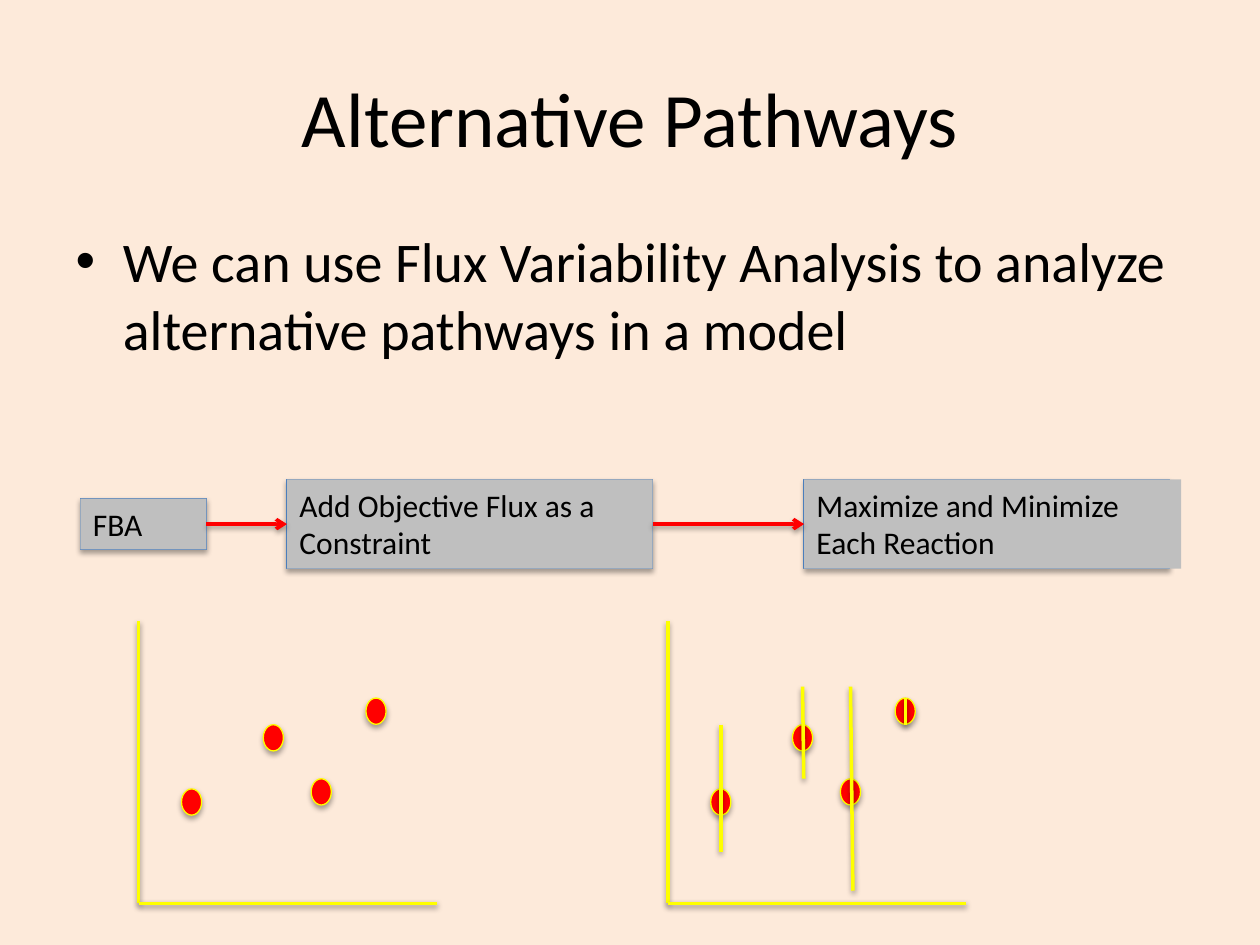
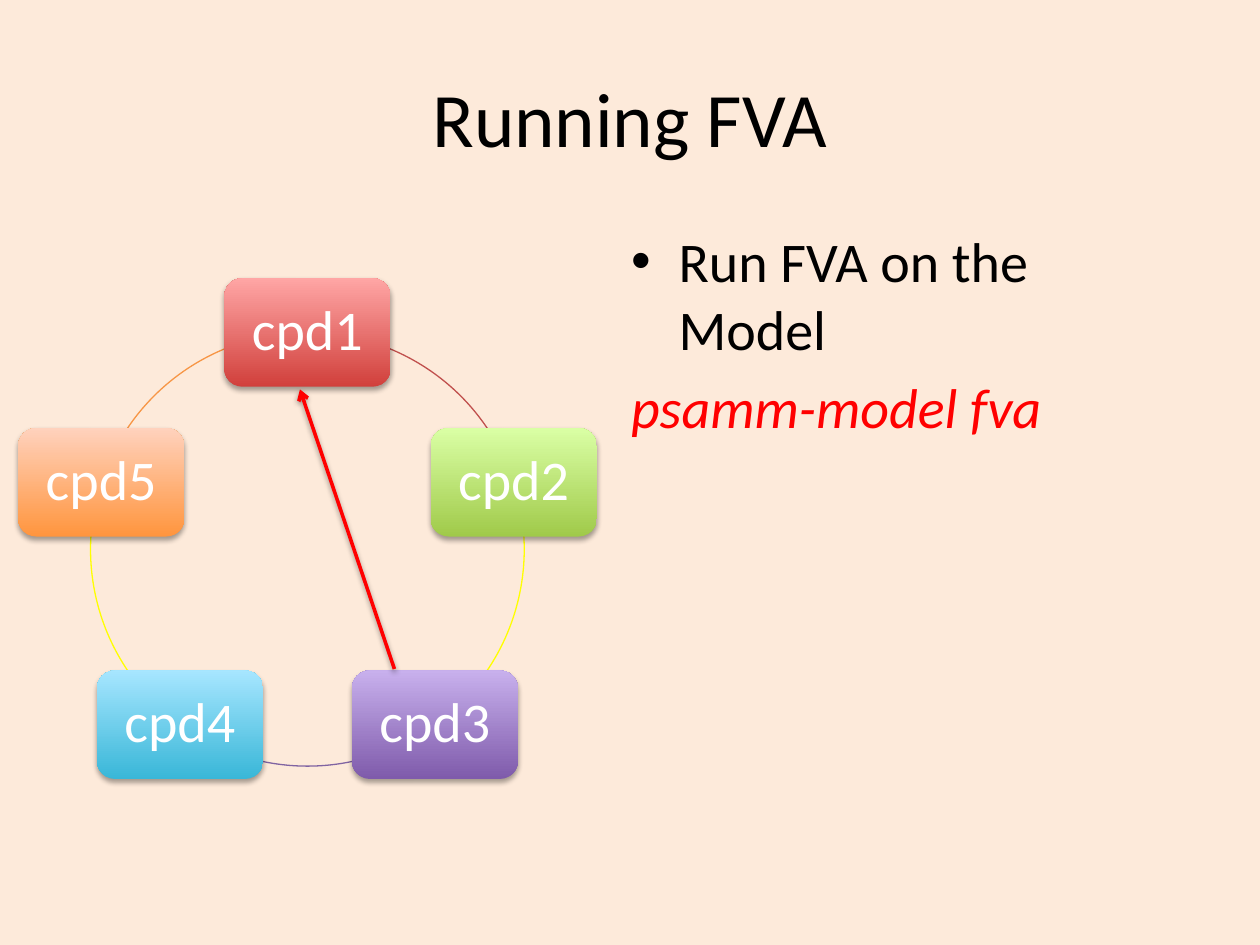
import math

from lxml import etree
from pptx import Presentation
from pptx import util as u
from pptx.dml.color import RGBColor
from pptx.enum import shapes, text
from pptx.oxml.ns import qn

COLORS = {
    "page": "FDEADA", "ink": "000000", "white": "FFFFFF", "box": "BFBFBF",
    "edge": "4B7EBC", "red": "FF0000", "yellow": "FFFF00",
}
FONT = "Calibri"

# Process steps: left, top, frame width, label width, height, words
STEPS = [
    (46, 285, 72, 72, 29, "FBA"),
    (164, 274, 209, 209, 51, "Add Objective Flux as a Constraint"),
    (459.5, 274, 209, 215.5, 51, "Maximize and Minimize Each Reaction"),
]
STEP_MIDDLE = 299.5

# Flux points: distance from the axis, height on the page
FLUXES = [(30.3, 458.3), (77, 421.6), (104.4, 452.5), (135.7, 406.4)]
# Flux ranges: top, bottom, sideways lean
RANGES = [(414, 486.7, 0), (392.4, 445, 0.7), (392.4, 509, 1.4), (399, 414, 0)]
PLOT_LEFTS = (79.2, 381.6)
PLOT_TOP, PLOT_BOTTOM, PLOT_WIDTH = 355, 516.2, 170.6

# Compounds, clockwise from the top: name, bottom colour, top colour, arc colour
COMPOUNDS = [
    ("cpd1", "D1403C", "FFA6A5", "C0504D"),
    ("cpd2", "A0CA4A", "DAFFA5", "FFFF00"),
    ("cpd3", "7F5BAB", "C8B0ED", "8064A2"),
    ("cpd4", "39B7D8", "A7E6FF", "FFFF00"),
    ("cpd5", "FF953E", "FFD2BD", "F79646"),
]
CYCLE_X, CYCLE_Y, CYCLE_RADIUS = 175.7, 313.9, 123.9
NODE_WIDTH, NODE_HEIGHT = 95, 62


def rgb(color):
    return RGBColor.from_string(COLORS.get(color, color))


def write(frame, words, size=18, color="ink", italic=False, align=None,
          spacing=None, plain=False):
    """Add one paragraph; plain removes the inherited bullet and indent."""
    para = frame.add_paragraph() if frame.text else frame.paragraphs[0]
    if plain:
        props = para._p.get_or_add_pPr()
        props.set("marL", "0")
        props.set("indent", "0")
        etree.SubElement(props, qn("a:buNone"))
    if align is not None:
        para.alignment = align
    if spacing:
        para.line_spacing = spacing
    span = para.add_run()
    span.text = words
    span.font.name = FONT
    span.font.size = u.Pt(size)
    span.font.color.rgb = rgb(color)
    span.font.italic = italic


def cast_shadow(item, distance, alpha):
    effects = etree.SubElement(item._element.spPr, qn("a:effectLst"))
    shadow = etree.SubElement(
        effects, qn("a:outerShdw"), blurRad=str(u.Pt(3.1)),
        dist=str(u.Pt(distance)), dir="5400000", rotWithShape="0")
    black = etree.SubElement(shadow, qn("a:srgbClr"), val="000000")
    etree.SubElement(black, qn("a:alpha"), val=str(alpha * 1000))


def add_block(page, kind, left, top, width, height, fill=None, line=None,
              shadow=True):
    """Add a preset shape; a pair of fills runs from bottom to top."""
    block = page.shapes.add_shape(
        kind, u.Pt(left), u.Pt(top), u.Pt(width), u.Pt(height))
    if fill is None:
        block.fill.background()
    elif isinstance(fill, tuple):
        block.fill.gradient()
        block.fill.gradient_angle = 90
        for stop, color, position in zip(block.fill.gradient_stops, fill, (0, 1)):
            stop.color.rgb = rgb(color)
            stop.position = position
    else:
        block.fill.solid()
        block.fill.fore_color.rgb = rgb(fill)
    if line:
        block.line.color.rgb = rgb(line)
        block.line.width = u.Pt(0.75)
    else:
        block.line.fill.background()
    if shadow:
        cast_shadow(block, 1.8, 35)
    else:
        block.shadow.inherit = False
    return block


def add_line(page, start, end, color, arrow=False):
    line = page.shapes.add_connector(
        shapes.MSO_CONNECTOR.STRAIGHT, *map(u.Pt, start + end))
    line.line.color.rgb = rgb(color)
    line.line.width = u.Pt(2)
    if arrow:
        etree.SubElement(line.line._get_or_add_ln(), qn("a:tailEnd"), type="arrow")
    cast_shadow(line, 1.6, 38)


def add_page(deck, title, body_left, body_width, body_height):
    """Add a slide with its title and return it with its body frame."""
    page = deck.slides.add_slide(deck.slide_layouts[1])
    heading, body = page.placeholders
    heading.left, heading.top, heading.width, heading.height = map(
        u.Pt, (36, 21.6, 648, 90))
    write(heading.text_frame, title, size=44, align=text.PP_ALIGN.CENTER)
    body.left, body.top, body.width, body.height = map(
        u.Pt, (body_left, 126, body_width, body_height))
    return page, body.text_frame


def add_step(page, left, top, frame_width, label_width, height, words):
    kind = shapes.MSO_SHAPE.RECTANGLE
    add_block(page, kind, left, top, frame_width, height, "box", "edge")
    label = add_block(page, kind, left, top, label_width, height, "box",
                      shadow=False)
    frame = label.text_frame
    frame.word_wrap = True
    frame.vertical_anchor = text.MSO_ANCHOR.TOP
    write(frame, words, align=text.PP_ALIGN.LEFT)


def add_plot(page, left):
    corner = (left, PLOT_BOTTOM)
    add_line(page, (left, PLOT_TOP), corner, "yellow")
    add_line(page, (left + PLOT_WIDTH, PLOT_BOTTOM), corner, "yellow")
    width, height = 11.5, 15
    for x, y in FLUXES:
        add_block(page, shapes.MSO_SHAPE.OVAL, left + x - width / 2,
                  y - height / 2, width, height, "red", "yellow")


def add_ranges(page, left):
    for (x, _), (top, bottom, lean) in zip(FLUXES, RANGES):
        add_line(page, (left + x, top), (left + x + lean, bottom), "yellow")


def add_cycle(page):
    step = 360 / len(COMPOUNDS)
    angles = [270 + step * i for i in range(len(COMPOUNDS))]
    # Arcs between neighbours, behind the nodes
    for angle, (_, _, _, color) in zip(angles, COMPOUNDS):
        arc = add_block(page, shapes.MSO_SHAPE.ARC, CYCLE_X - CYCLE_RADIUS,
                        CYCLE_Y - CYCLE_RADIUS, 2 * CYCLE_RADIUS,
                        2 * CYCLE_RADIUS, line=color, shadow=False)
        # Arc adjustments count 0.6 to the degree
        arc.adjustments[0] = angle % 360 * 0.6
        arc.adjustments[1] = (angle + step) % 360 * 0.6
    # Nodes
    for angle, (name, bottom, top, _) in zip(angles, COMPOUNDS):
        x = CYCLE_X + CYCLE_RADIUS * math.cos(math.radians(angle))
        y = CYCLE_Y + CYCLE_RADIUS * math.sin(math.radians(angle))
        node = add_block(page, shapes.MSO_SHAPE.ROUNDED_RECTANGLE,
                         x - NODE_WIDTH / 2, y - NODE_HEIGHT / 2,
                         NODE_WIDTH, NODE_HEIGHT, (bottom, top))
        node.text_frame.vertical_anchor = text.MSO_ANCHOR.MIDDLE
        write(node.text_frame, name, size=32, color="white",
              align=text.PP_ALIGN.CENTER, spacing=0.9)


def build_pathways(deck):
    page, body = add_page(deck, "Alternative Pathways", 36, 648, 99.4)
    write(body, "We can use Flux Variability Analysis to analyze "
                "alternative pathways in a model", size=32)
    for step in STEPS:
        add_step(page, *step)
    for before, after in zip(STEPS, STEPS[1:]):
        add_line(page, (before[0] + before[2], STEP_MIDDLE),
                 (after[0], STEP_MIDDLE), "red", arrow=True)
    for left in PLOT_LEFTS:
        add_plot(page, left)
    add_ranges(page, PLOT_LEFTS[-1])


def build_running(deck):
    page, body = add_page(deck, "Running FVA", 353.5, 330.5, 356.4)
    write(body, "Run FVA on the Model", size=32)
    write(body, "psamm-model fva", size=32, color="red", italic=True, plain=True)
    add_cycle(page)
    add_line(page, (225.4, 382.3), (171.4, 222.5), "red", arrow=True)


def main():
    deck = Presentation()
    deck.slide_width, deck.slide_height = u.Pt(720), u.Pt(540)
    backdrop = deck.slide_master.background.fill
    backdrop.solid()
    backdrop.fore_color.rgb = rgb("page")
    build_pathways(deck)
    build_running(deck)
    deck.save("out.pptx")


if __name__ == "__main__":
    main()
